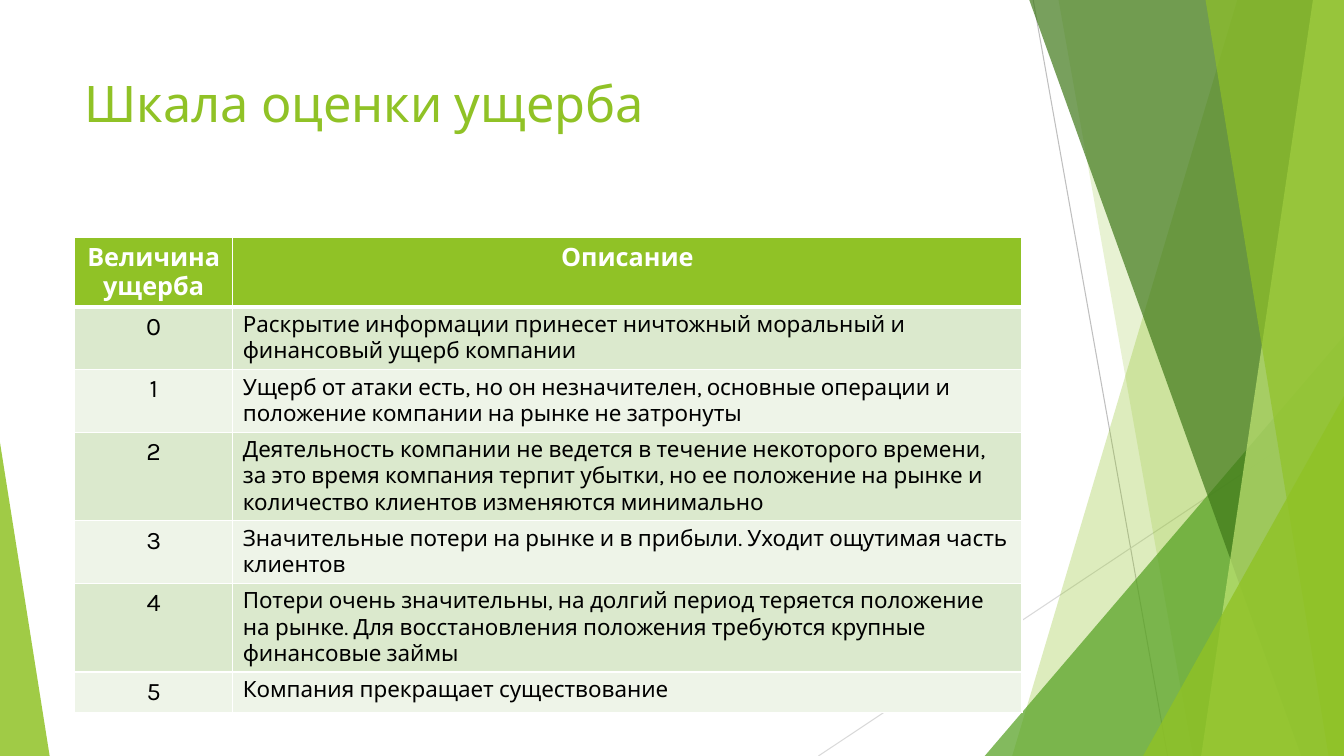
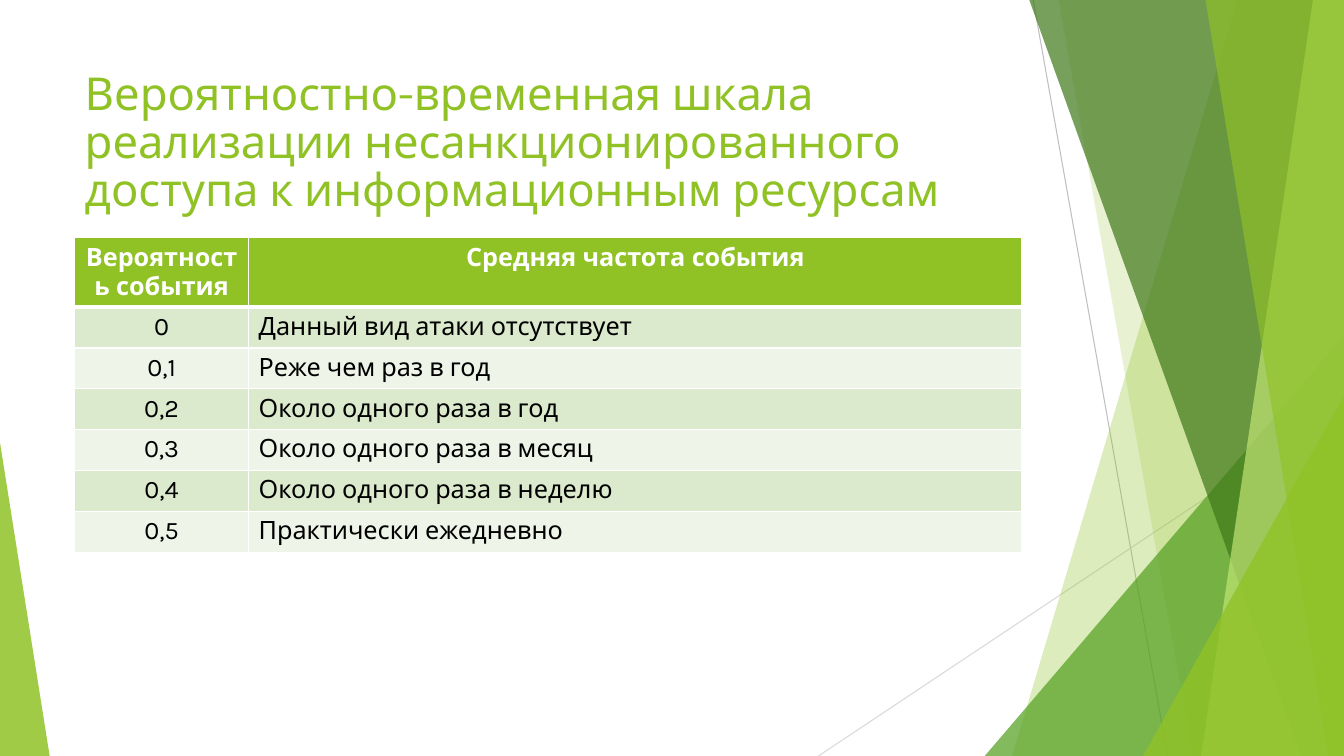
from pptx import Presentation
from pptx.dml.color import RGBColor
from pptx.enum.shapes import MSO_CONNECTOR as Connector, MSO_SHAPE as Shape
from pptx.enum.text import MSO_ANCHOR as Anchor, MSO_AUTO_SIZE as AutoSize, PP_ALIGN as Align
from pptx.oxml.ns import qn
from pptx.util import Pt
from lxml.etree import SubElement

FONT = "Karla"
GREEN, LEAF, FOREST, LIME = "90C226", "54A021", "3F7819", "C0E474"
WHITE, BLACK = "FFFFFF", "000000"
BANDS = ("DBE9CD", "EEF4E8")
WIDTH, HEIGHT, BLEED = 960, 540, -0.7
LEFT, CONTENT_WIDTH = 53.3, 676.8
TITLE_TOP, TITLE_HEIGHT = 48, 104
TABLE_TOP, ROW_HEIGHT = 169.9, 29.2


def colour(code):
    return RGBColor.from_string(code)


def write(frame, text, size=18, code=BLACK, bold=False, align=Align.LEFT, spacing=None):
    para = frame.paragraphs[0]
    para.alignment = align
    para.line_spacing = spacing
    span = para.add_run()
    span.text = text
    span.font.name = FONT
    span.font.size = Pt(size)
    span.font.bold = bold
    span.font.color.rgb = colour(code)


class Deck:
    def __init__(self):
        self.deck = Presentation()
        self.deck.slide_width, self.deck.slide_height = Pt(WIDTH), Pt(HEIGHT)
        self.page = None

    def add_page(self, title, size=36, spacing=None):
        self.page = self.deck.slides.add_slide(self.deck.slide_layouts[5])
        self.facets()
        self.title(title, size, spacing)

    def title(self, text, size, spacing):
        box = self.page.shapes.title
        box.left, box.top = Pt(LEFT), Pt(TITLE_TOP)
        box.width, box.height = Pt(CONTENT_WIDTH), Pt(TITLE_HEIGHT)
        frame = box.text_frame
        frame.word_wrap = True
        frame.auto_size = AutoSize.NONE
        frame.vertical_anchor = Anchor.TOP
        write(frame, text, size=size, code=GREEN, spacing=spacing)

    def line(self, start, end, code):
        rule = self.page.shapes.add_connector(
            Connector.STRAIGHT, *(Pt(value) for value in start + end))
        rule.line.color.rgb = colour(code)
        rule.line.width = Pt(0.75)
        SubElement(rule._element.spPr, qn("a:effectLst"))

    def paint(self, shape, code, opacity):
        shape.shadow.inherit = False
        shape.line.fill.background()
        shape.fill.solid()
        shape.fill.fore_color.rgb = colour(code)
        tint = next(shape._element.spPr.iter(qn("a:srgbClr")))
        SubElement(tint, qn("a:alpha")).set("val", str(opacity * 1000))

    def strip(self, top_x, bottom_x, code, opacity):
        builder = self.page.shapes.build_freeform(Pt(top_x), Pt(BLEED))
        corners = [(WIDTH, BLEED), (WIDTH, HEIGHT), (bottom_x, HEIGHT)]
        builder.add_line_segments([(Pt(x), Pt(y)) for x, y in corners], close=True)
        self.paint(builder.convert_to_shape(), code, opacity)

    def triangle(self, left, top, width, apex, code, opacity):
        shape = self.page.shapes.add_shape(
            Shape.ISOSCELES_TRIANGLE, Pt(left), Pt(top), Pt(width), Pt(HEIGHT - top))
        shape.adjustments[0] = apex
        self.paint(shape, code, opacity)

    def facets(self):
        self.line((738, 0), (834, HEIGHT), "BFBFBF")
        self.line((WIDTH, 290), (584.6, HEIGHT), "D9D9D9")
        self.strip(884, 723, GREEN, 30)
        self.strip(756, 852, GREEN, 20)
        self.triangle(703.4, 240, 256.6, 1, LEAF, 72)
        self.strip(735, 929.5, FOREST, 70)
        self.strip(938, 858, LIME, 70)
        self.strip(861, 949, GREEN, 65)
        self.triangle(816.5, 283, 143.5, 1, GREEN, 80)
        self.triangle(0, 316, 35.5, 0, GREEN, 85)

    def borders(self, cell, top, bottom):
        props = cell._tc.get_or_add_tcPr()
        for side, width in (("L", 1), ("R", 1), ("T", top), ("B", bottom)):
            edge = SubElement(props, qn("a:ln" + side), w=str(Pt(width)))
            fill = SubElement(edge, qn("a:solidFill"))
            SubElement(fill, qn("a:srgbClr"), val=WHITE)

    def table(self, header, rows, first_width, text_size=18):
        records = [header] + rows
        table = self.page.shapes.add_table(
            len(records), 2, Pt(LEFT), Pt(TABLE_TOP),
            Pt(CONTENT_WIDTH), Pt(ROW_HEIGHT * len(records))).table
        table.horz_banding = False
        table.columns[0].width = Pt(first_width)
        table.columns[1].width = Pt(CONTENT_WIDTH - first_width)
        for index, record in enumerate(records):
            table.rows[index].height = Pt(ROW_HEIGHT)
            is_header = index == 0
            for column, text in enumerate(record):
                cell = table.cell(index, column)
                self.borders(cell, 3 if index == 1 else 1, 3 if is_header else 1)
                cell.fill.solid()
                cell.fill.fore_color.rgb = colour(GREEN if is_header else BANDS[(index - 1) % 2])
                is_text = column == 1 and not is_header
                write(cell.text_frame, text,
                      size=text_size if is_text else 18,
                      code=WHITE if is_header else BLACK,
                      bold=is_header,
                      align=Align.LEFT if is_text else Align.CENTER)

    def save(self):
        self.deck.save("out.pptx")


show = Deck()

show.add_page("Шкала оценки ущерба")
damage = [
    "Раскрытие информации принесет ничтожный моральный и финансовый ущерб компании",
    "Ущерб от атаки есть, но он незначителен, основные операции и положение компании "
    "на рынке не затронуты",
    "Деятельность компании не ведется в течение некоторого времени, за это время компания "
    "терпит убытки, но ее положение на рынке и количество клиентов изменяются минимально",
    "Значительные потери на рынке и в прибыли. Уходит ощутимая часть клиентов",
    "Потери очень значительны, на долгий период теряется положение на рынке. "
    "Для восстановления положения требуются крупные финансовые займы",
    "Компания прекращает существование",
]
show.table(("Величина ущерба", "Описание"),
           [(str(level), text) for level, text in enumerate(damage)],
           first_width=113, text_size=16)

show.add_page("Вероятностно-временная шкала реализации несанкционированного доступа "
              "к информационным ресурсам", size=32.4, spacing=0.88)
show.table(("Вероятность события", "Средняя частота события"), [
    ("0", "Данный вид атаки отсутствует"),
    ("0,1", "Реже чем раз в год"),
    ("0,2", "Около одного раза в год"),
    ("0,3", "Около одного раза в месяц"),
    ("0,4", "Около одного раза в неделю"),
    ("0,5", "Практически ежедневно"),
], first_width=124.3)

show.save()
